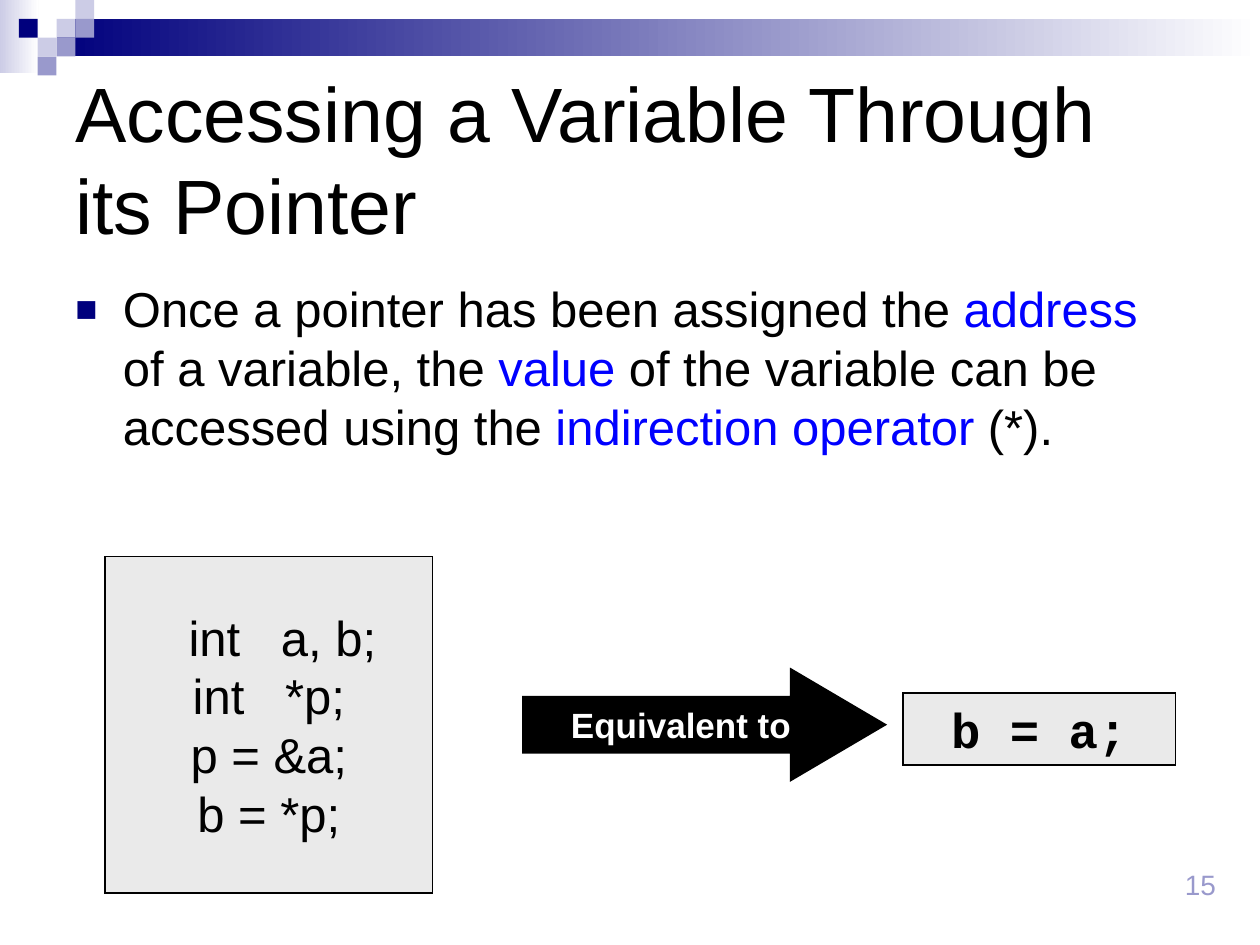
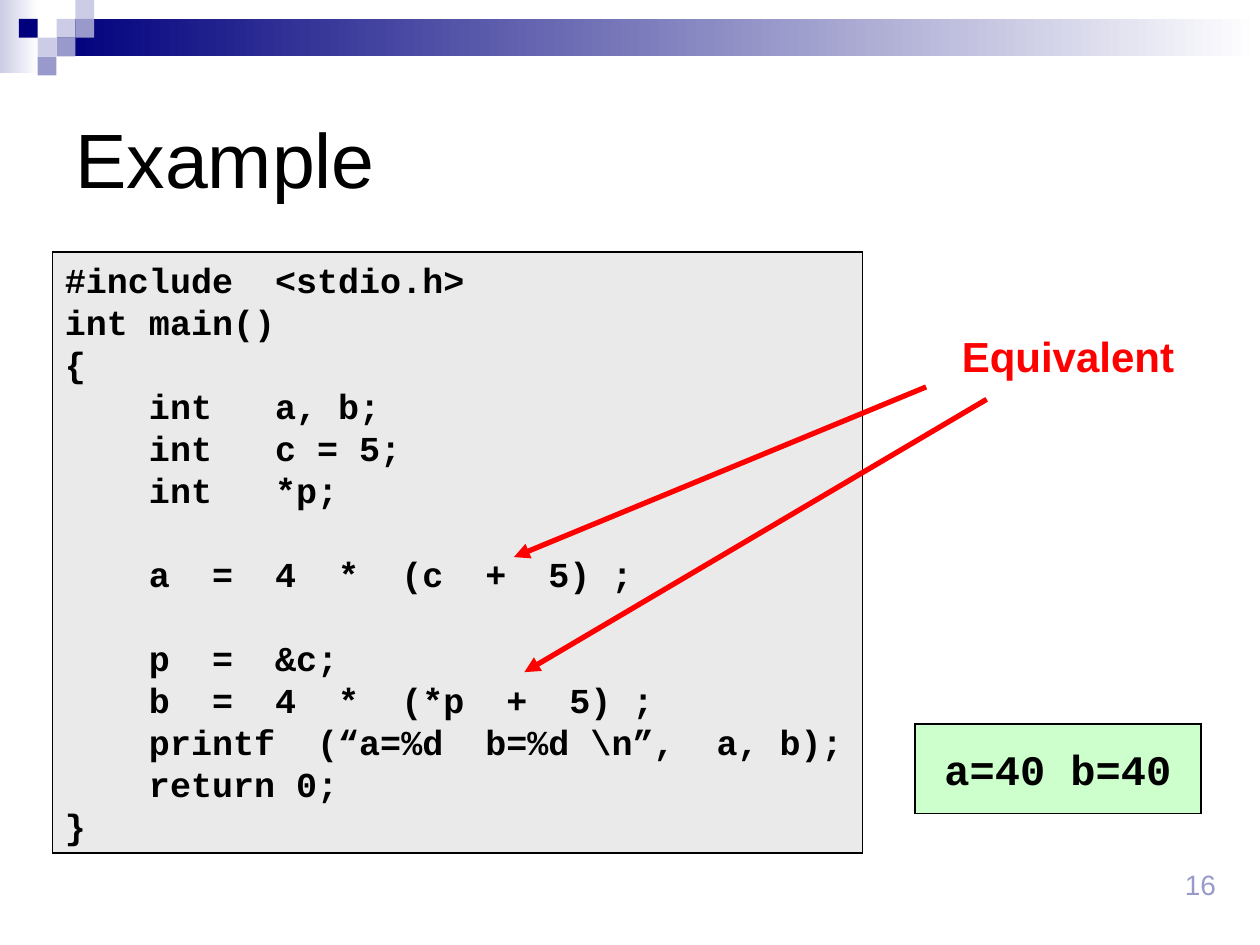
"""Build two slides on reaching a variable through its pointer."""
from lxml.etree import SubElement
from pptx import Presentation
from pptx.dml.color import RGBColor
from pptx.enum.shapes import MSO_CONNECTOR as Line, MSO_SHAPE as Shape
from pptx.enum.text import MSO_ANCHOR as Anchor, PP_ALIGN as Align
from pptx.oxml.ns import qn
from pptx.util import Cm, Pt

NAVY = RGBColor(0x00, 0x00, 0x7D)
LILAC = RGBColor(0x99, 0x99, 0xCC)
PALE = RGBColor(0xCC, 0xCC, 0xE6)
WHITE = RGBColor(0xFF, 0xFF, 0xFF)
BLACK = RGBColor(0x00, 0x00, 0x00)
GREY = RGBColor(0xEA, 0xEA, 0xEA)
MINT = RGBColor(0xCC, 0xFF, 0xCC)
BLUE = RGBColor(0x00, 0x00, 0xFF)
RED = RGBColor(0xFF, 0x00, 0x00)
SANS, MONO = "Arial", "Courier New"
CELL = 0.38


def add_block(page, area, kind=Shape.RECTANGLE, fill=None, fade=False, outline=None):
    """Add a preset shape, plain or fading to white, with an optional outline."""
    block = page.shapes.add_shape(kind, *map(Cm, area))
    block.shadow.inherit = False
    if fade:
        block.fill.gradient()
        block.fill.gradient_angle = 0
        for stop, color in zip(block.fill.gradient_stops, (fill, WHITE)):
            stop.color.rgb = color
    else:
        block.fill.solid()
        block.fill.fore_color.rgb = fill
    if outline:
        block.line.color.rgb = BLACK
        block.line.width = Pt(outline)
        SubElement(block.line._get_or_add_ln(), qn("a:miter"), lim="800000")
    else:
        block.line.fill.background()
    return block


def write(box, text, size, font=SANS, color=BLACK, bold=False,
          align=Align.LEFT, anchor=Anchor.TOP, wrap=True):
    """Fill a box with lines of text in one style."""
    frame = box.text_frame
    frame.word_wrap = wrap
    frame.vertical_anchor = anchor
    frame.text = text
    for para in frame.paragraphs:
        para.alignment = align
        para.font.name = font
        para.font.size = Pt(size)
        para.font.bold = bold
        para.font.color.rgb = color


deck = Presentation()
deck.slide_width, deck.slide_height = Cm(25.4), Cm(19.05)

mosaic = [(3, 1, PALE), (4, 0, PALE), (4, 1, LILAC), (2, 2, PALE),
          (1, 1, NAVY), (3, 2, LILAC), (2, 3, LILAC)]
titles = ["Accessing a Variable Through its Pointer", "Example"]
pages = []
for number, title in enumerate(titles, start=15):
    page = deck.slides.add_slide(deck.slide_layouts[6])
    add_block(page, (0, 0, 0.78, 1.48), fill=PALE, fade=True)
    add_block(page, (3 * CELL, CELL, 24.26, 2 * CELL), fill=NAVY, fade=True)
    for column, row, color in mosaic:
        add_block(page, (column * CELL, row * CELL, CELL, CELL), fill=color)
    title_box = page.shapes.add_textbox(Cm(1.27), Cm(1.27), Cm(22.86), Cm(3.81))
    write(title_box, title, 44, anchor=Anchor.MIDDLE)
    number_box = page.shapes.add_textbox(Cm(23.28), Cm(17.36), Cm(1.48), Cm(1.27))
    write(number_box, str(number), 16, color=LILAC, align=Align.RIGHT)
    pages.append(page)
pointer_page, example_page = pages

body = pointer_page.shapes.add_textbox(Cm(1.27), Cm(5.5), Cm(22.86), Cm(4.2))
body.text_frame.word_wrap = True
para = body.text_frame.paragraphs[0]
settings = para._p.get_or_add_pPr()
settings.set("marL", str(Cm(0.96)))
settings.set("indent", str(-Cm(0.96)))
bullet_color = SubElement(settings, qn("a:buClr"))
SubElement(bullet_color, qn("a:srgbClr"), val=str(NAVY))
SubElement(settings, qn("a:buSzPct"), val="75000")
SubElement(settings, qn("a:buFont"), typeface=SANS)
SubElement(settings, qn("a:buChar"), char="■")
for text, color in [
    ("Once a pointer has been assigned the ", BLACK),
    ("address", BLUE),
    (" of a variable, the ", BLACK),
    ("value", BLUE),
    (" of the variable can be accessed using the ", BLACK),
    ("indirection operator", BLUE),
    (" (*).", BLACK),
]:
    span = para.add_run()
    span.text = text
    span.font.name = SANS
    span.font.size = Pt(28)
    span.font.color.rgb = color

pointer_code = add_block(pointer_page, (2.12, 11.22, 6.6, 6.78), fill=GREY, outline=1)
write(pointer_code, "  int   a, b;\nint   *p;\np = &a;\nb = *p;", 28,
      align=Align.CENTER, anchor=Anchor.MIDDLE, wrap=False)

arrow = add_block(pointer_page, (10.58, 13.55, 7.2, 2.12), Shape.RIGHT_ARROW,
                  fill=BLACK, outline=3)
arrow.adjustments[0], arrow.adjustments[1] = 0.5, 0.85
write(arrow, "Equivalent to", 20, color=WHITE, bold=True,
      align=Align.CENTER, anchor=Anchor.MIDDLE, wrap=False)

same_code = add_block(pointer_page, (18.2, 13.97, 5.5, 1.45), fill=GREY, outline=1)
write(same_code, "b = a;", 28, MONO, bold=True, align=Align.CENTER)

program = """#include  <stdio.h>
int main()
{
    int   a, b;
    int   c = 5;
    int   *p;

    a  =  4  *  (c  +  5) ;

    p  =  &c;
    b  =  4  *  (*p  +  5) ;
    printf  (“a=%d  b=%d \\n”,  a, b);
    return 0;
}"""
listing = add_block(example_page, (1.06, 5.08, 16.33, 12.12), fill=GREY, outline=1)
write(listing, program, 20, MONO, bold=True)

label = example_page.shapes.add_textbox(Cm(18.57), Cm(6.53), Cm(5.92), Cm(1.27))
write(label, "Equivalent", 24, color=RED, bold=True, align=Align.CENTER)

for ends in [(18.67, 7.8, 10.36, 11.23), (19.89, 8.05, 10.57, 13.55)]:
    pointer = example_page.shapes.add_connector(Line.STRAIGHT, *map(Cm, ends))
    pointer.line.color.rgb = RED
    pointer.line.width = Pt(3)
    SubElement(pointer.line._get_or_add_ln(), qn("a:tailEnd"), type="triangle")
    SubElement(pointer._element.spPr, qn("a:effectLst"))

output = add_block(example_page, (18.44, 14.6, 5.77, 1.8), fill=MINT, outline=1)
write(output, "a=40 b=40", 24, MONO, bold=True,
      align=Align.CENTER, anchor=Anchor.MIDDLE, wrap=False)

deck.save("out.pptx")
